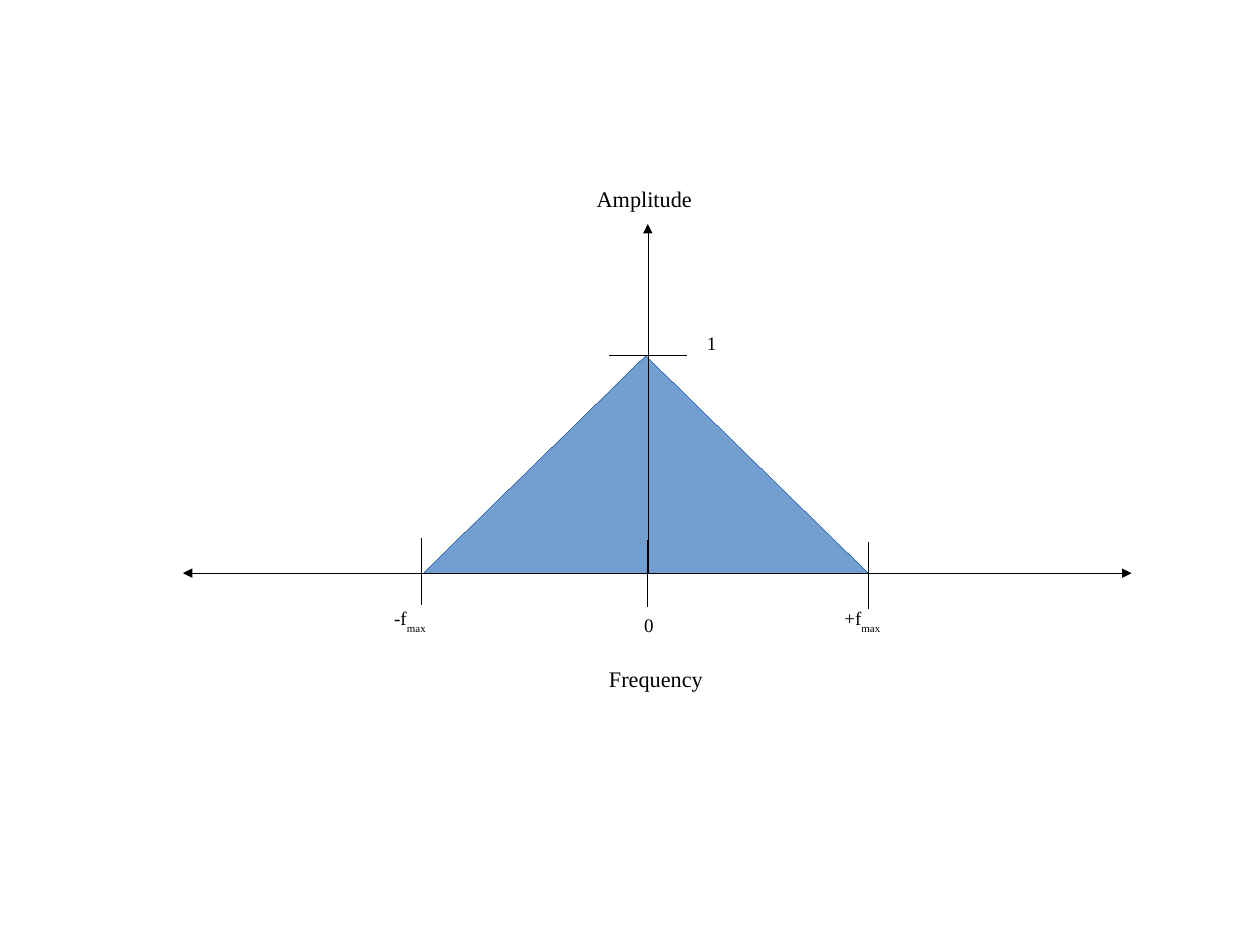
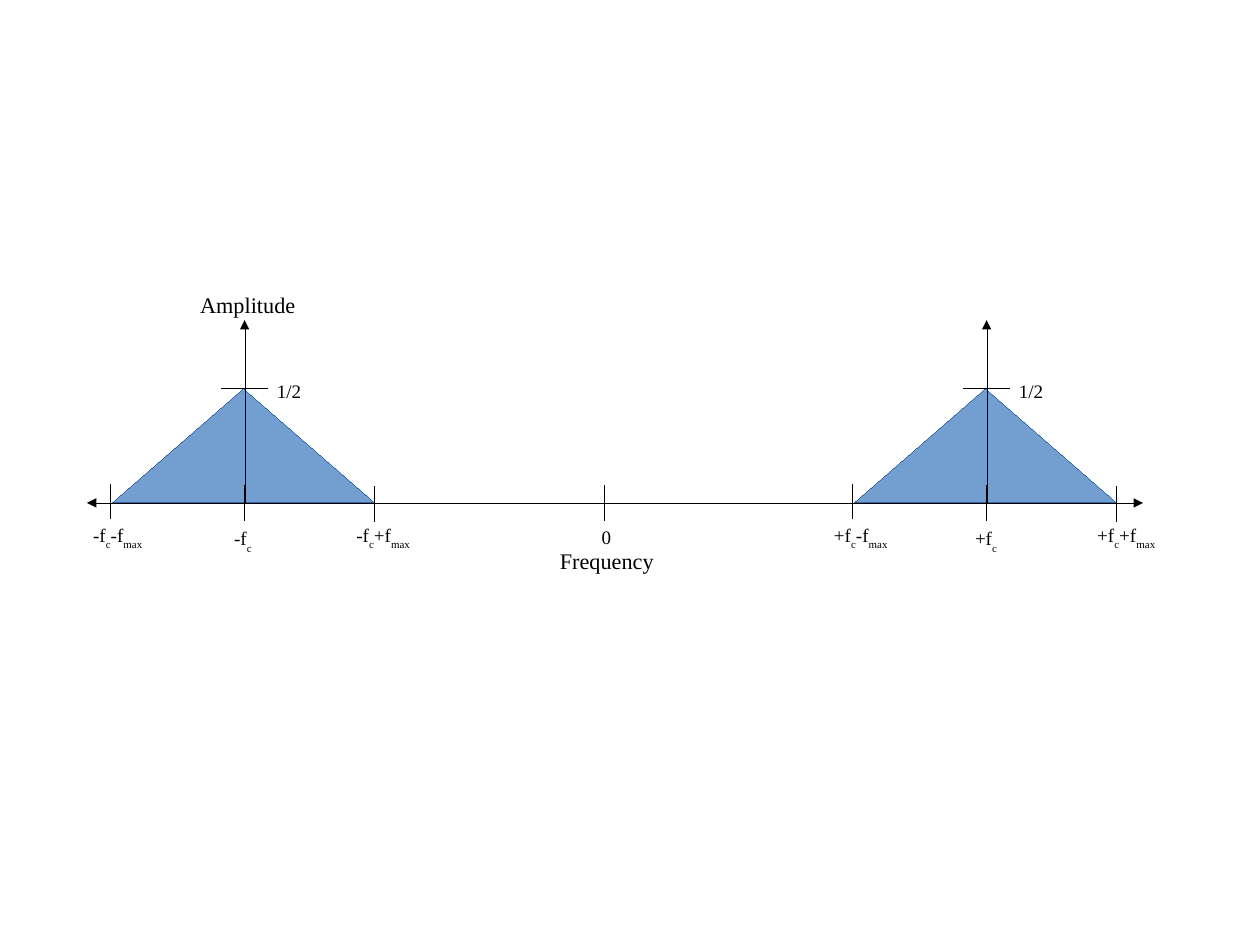
from dataclasses import dataclass

from lxml import etree
from pptx import Presentation
from pptx.dml.color import RGBColor
from pptx.enum.shapes import MSO_CONNECTOR, MSO_SHAPE
from pptx.enum.text import MSO_AUTO_SIZE
from pptx.oxml.ns import qn
from pptx.util import Pt

STRAIGHT = MSO_CONNECTOR.STRAIGHT
TRIANGLE = MSO_SHAPE.ISOSCELES_TRIANGLE
FIT_TEXT = MSO_AUTO_SIZE.SHAPE_TO_FIT_TEXT

COLOURS = {"ink": "000000", "lobe": "729FCF", "lobe edge": "3465A4"}
FONT = "Times New Roman"
TITLE_SIZE, LABEL_SIZE = 14, 12
LABEL_HEIGHT = 26
HAIRLINE = Pt(0.01)  # a width of 0 is not written, so the theme's would apply


@dataclass
class Box:
    left: float
    top: float
    width: float
    height: float

    @property
    def right(self):
        return self.left + self.width

    @property
    def bottom(self):
        return self.top + self.height


@dataclass
class LobeStyle:
    axis_height: float
    cap: float
    tick: float
    drift: float  # small shift of the axis and of the outer ticks


def colour(name):
    return RGBColor.from_string(COLOURS[name])


def add_line(page, start, end, arrows=()):
    """Draw a hairline; arrows lists the arrowhead tags, headEnd before tailEnd."""
    line = page.shapes.add_connector(STRAIGHT, *map(Pt, (*start, *end)))
    line.line.color.rgb = colour("ink")
    line.line.width = HAIRLINE
    properties = line._element.spPr
    for tag in arrows:
        outline = properties.find(qn("a:ln"))
        etree.SubElement(outline, qn(f"a:{tag}")).set("type", "triangle")
    etree.SubElement(properties, qn("a:effectLst"))


def add_label(page, left, top, width, parts, size=LABEL_SIZE):
    """Place text whose every second part is a subscript."""
    box = page.shapes.add_textbox(Pt(left), Pt(top), Pt(width), Pt(LABEL_HEIGHT))
    frame = box.text_frame
    frame.word_wrap = False
    frame.auto_size = FIT_TEXT
    para = frame.paragraphs[0]
    para.font.name = FONT
    para.font.size = Pt(size)
    para.font.color.rgb = colour("ink")
    for index, part in enumerate(parts):
        span = para.add_run()
        span.text = part
        if index % 2:
            span._r.get_or_add_rPr().set("baseline", "-33000")


def add_tick(page, x, y, length):
    add_line(page, (x, y - length / 2), (x, y + length / 2))


def add_frequency_axis(page, left, right, y):
    add_line(page, (left, y), (right, y), ("headEnd", "tailEnd"))


def add_lobe(page, box, style, labels):
    """Draw a triangular spectrum filling the box, with its axis and ticks.

    labels holds (anchor, dx, dy, width, parts), offset from the named anchor.
    """
    lobe = page.shapes.add_shape(
        TRIANGLE, *map(Pt, (box.left, box.top, box.width, box.height)))
    lobe.shadow.inherit = False
    lobe.fill.solid()
    lobe.fill.fore_color.rgb = colour("lobe")
    lobe.line.color.rgb = colour("lobe edge")
    lobe.line.width = HAIRLINE

    axis = box.left + box.width / 2 + style.drift
    add_line(page, (axis, box.bottom), (axis, box.bottom - style.axis_height),
             ("tailEnd",))
    add_line(page, (axis - style.cap / 2, box.top), (axis + style.cap / 2, box.top))
    add_tick(page, box.left - 0.7, box.bottom - style.drift, style.tick)
    add_tick(page, axis, box.bottom, style.tick)
    add_tick(page, box.right, box.bottom + style.drift, style.tick)

    anchors = {"low": (box.left, box.bottom), "centre": (axis, box.bottom),
               "high": (box.right, box.bottom), "peak": (axis, box.top)}
    for anchor, dx, dy, width, parts in labels:
        x, y = anchors[anchor]
        add_label(page, x + dx, y + dy, width, parts)


def build_baseband(page):
    box = Box(266.4, 223.9, 280.8, 137.2)
    add_lobe(page, box, LobeStyle(220, 48.2, 41.4, 1.3), [
        ("low", -25.2, 17.6, 40, ("-f", "max")),
        ("centre", -9.4, 22, 22, ("0",)),
        ("high", -22.4, 17.6, 42, ("+f", "max")),
        ("peak", 30.2, -18.7, 22, ("1",)),
    ])
    add_frequency_axis(page, 115.2, 712.8, box.bottom)
    add_label(page, 368.8, 113, 78, ("Amplitude",), TITLE_SIZE)
    add_label(page, 376.5, 415.4, 78, ("Frequency",), TITLE_SIZE)


def build_modulated(page):
    base = 316.8
    add_frequency_axis(page, 54.7, 720, base)
    add_label(page, 119, 180, 78, ("Amplitude",), TITLE_SIZE)
    add_label(page, 345.6, 341.3, 78, ("Frequency",), TITLE_SIZE)
    style = LobeStyle(115.2, 28.8, 21.6, 0.7)
    for left, sign, shift in ((70.6, "-", 0), (538, "+", -0.7)):
        carrier = (f"{sign}f", "c")
        add_lobe(page, Box(left, base - 72, 165.6, 72), style, [
            ("low", -19 + shift, 9.4, 56, (*carrier, "-f", "max")),
            ("centre", -13.7 + shift, 11.6, 34, carrier),
            ("high", -18.8 + shift, 9.4, 58, (*carrier, "+f", "max")),
            ("peak", 13.2, -9.4, 34, ("1/2",)),
        ])
    add_tick(page, 380.9, base, style.tick)
    add_label(page, 372, 327.6, 22, ("0",))


def main():
    deck = Presentation()
    deck.slide_width, deck.slide_height = Pt(793.7), Pt(595.3)
    blank = deck.slide_layouts[6]
    for build in (build_baseband, build_modulated):
        build(deck.slides.add_slide(blank))
    deck.save("out.pptx")


if __name__ == "__main__":
    main()
